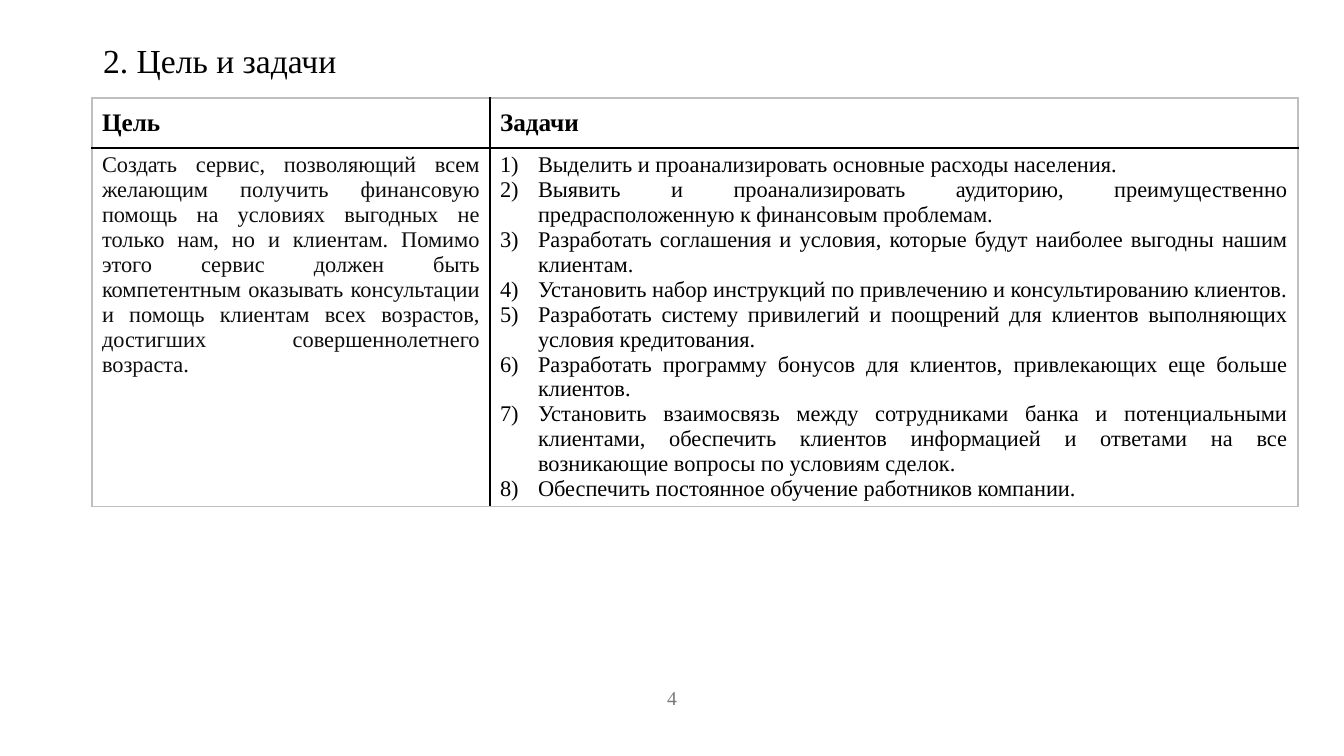
from pptx import Presentation
from pptx.dml.color import RGBColor
from pptx.enum.text import MSO_ANCHOR as ANCHOR, PP_ALIGN as ALIGN
from pptx.oxml import parse_xml
from pptx.oxml.ns import nsdecls
from pptx.util import Pt

PX = 12192000 / 1344
FONT = "Times New Roman"
BLACK = RGBColor(0x00, 0x00, 0x00)
DARK = RGBColor(0x0D, 0x0D, 0x0D)
GRAY = RGBColor(0x79, 0x79, 0x79)
FRAME = RGBColor(0xBF, 0xBF, 0xBF)
WHITE = RGBColor(0xFF, 0xFF, 0xFF)

GOAL = (
    "Создать сервис, позволяющий всем желающим получить финансовую помощь на "
    "условиях выгодных не только нам, но и клиентам. Помимо этого сервис должен "
    "быть компетентным оказывать консультации и помощь клиентам всех возрастов, "
    "достигших совершеннолетнего возраста."
)
TASKS = [
    "Выделить и проанализировать основные расходы населения.",
    "Выявить и проанализировать аудиторию, преимущественно предрасположенную "
    "к финансовым проблемам.",
    "Разработать соглашения и условия, которые будут наиболее выгодны нашим клиентам.",
    "Установить набор инструкций по привлечению и консультированию клиентов.",
    "Разработать систему привилегий и поощрений для клиентов выполняющих "
    "условия кредитования.",
    "Разработать программу бонусов для клиентов, привлекающих еще больше клиентов.",
    "Установить взаимосвязь между сотрудниками банка и потенциальными клиентами, "
    "обеспечить клиентов информацией и ответами на все возникающие вопросы по "
    "условиям сделок.",
    "Обеспечить постоянное обучение работников компании.",
]


def px(*lengths):
    """Turn whole pixels into EMU."""
    return [round(n * PX) for n in lengths]


def write(tf, lines, size, color, align, bold=False):
    """Fill a text frame with uniformly formatted paragraphs."""
    tf.text = "\n".join(lines)
    for p in tf.paragraphs:
        p.alignment = align
        for r in p.runs:
            r.font.name, r.font.size, r.font.bold = FONT, Pt(size), bold
            r.font.color.rgb = color


def number(tf, indent):
    """Number the paragraphs as 1), 2) with a hanging indent."""
    for p in tf.paragraphs:
        pPr = p._p.get_or_add_pPr()
        pPr.set("marL", str(indent))
        pPr.set("indent", str(-indent))
        pPr.append(parse_xml(f'<a:buFont {nsdecls("a")} typeface="{FONT}"/>'))
        pPr.append(parse_xml(f'<a:buAutoNum {nsdecls("a")} type="arabicParenR"/>'))


def add_borders(cell, colors):
    """Draw the left, right, top and bottom borders of a cell."""
    tcPr = cell._tc.get_or_add_tcPr()
    for i, (side, color) in enumerate(zip("LRTB", colors)):
        tcPr.insert(i, parse_xml(
            f'<a:ln{side} {nsdecls("a")} w="12700"><a:solidFill>'
            f'<a:srgbClr val="{color}"/></a:solidFill></a:ln{side}>'))


def add_title(slide, box, text):
    """Place the slide title in its placeholder."""
    sp = slide.shapes.title
    sp.left, sp.top, sp.width, sp.height = px(*box)
    tf = sp.text_frame
    tf.vertical_anchor = ANCHOR.MIDDLE
    write(tf, [text], 24, BLACK, ALIGN.LEFT)
    tf.paragraphs[0].line_spacing = 0.9


def add_goal_table(slide, box, goal_width, header_height):
    """Place the table with the goal on the left and the tasks on the right."""
    table = slide.shapes.add_table(2, 2, *px(*box)).table
    table.first_row = table.horz_banding = False
    for col, width in zip(table.columns, px(goal_width, box[2] - goal_width)):
        col.width = width
    for row, height in zip(table.rows, px(header_height, box[3] - header_height)):
        row.height = height
    for c, heading in enumerate(["Цель", "Задачи"]):
        cell = table.cell(0, c)
        cell.vertical_anchor = ANCHOR.MIDDLE
        write(cell.text_frame, [heading], 18, BLACK, ALIGN.JUSTIFY, bold=True)
    write(table.cell(1, 0).text_frame, [GOAL], 16, DARK, ALIGN.JUSTIFY)
    tasks = table.cell(1, 1).text_frame
    write(tasks, TASKS, 16, BLACK, ALIGN.JUSTIFY)
    number(tasks, px(38)[0])
    for r in range(2):
        for c in range(2):
            cell = table.cell(r, c)
            cell.fill.solid()
            cell.fill.fore_color.rgb = WHITE
            add_borders(cell, [BLACK if c else FRAME, FRAME if c else BLACK,
                               BLACK if r else FRAME, FRAME if r else BLACK])


def add_page_number(slide, box, text):
    """Place the centred page number."""
    tf = slide.shapes.add_textbox(*px(*box)).text_frame
    tf.word_wrap = True
    tf.vertical_anchor = ANCHOR.MIDDLE
    write(tf, [text], 14, GRAY, ALIGN.CENTER)


def main():
    """Build and save the presentation."""
    prs = Presentation()
    prs.slide_width, prs.slide_height = px(1344, 756)
    slide = prs.slides.add_slide(prs.slide_layouts[5])
    add_title(slide, (93, 16, 1159, 93), "2. Цель и задачи")
    add_goal_table(slide, (92, 98, 1206, 408), 398, 50)
    add_page_number(slide, (521, 678, 302, 40), "4")
    prs.save("out.pptx")


if __name__ == "__main__":
    main()
